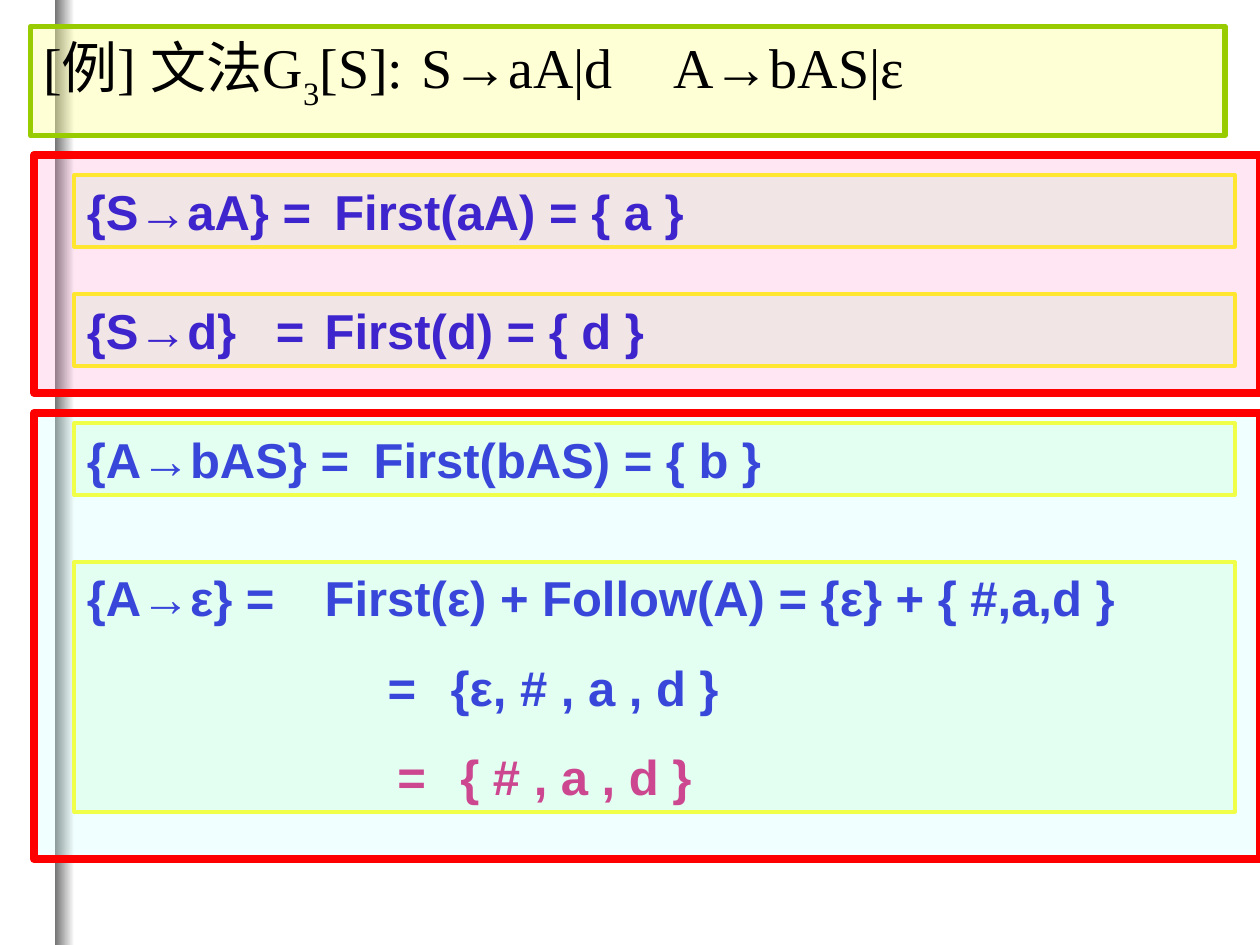
"""Build the slide that works out the selection sets of grammar G3."""
from pptx import Presentation
from pptx.dml.color import RGBColor
from pptx.enum.shapes import MSO_SHAPE as Shape
from pptx.enum.text import MSO_ANCHOR as Anchor, MSO_AUTO_SIZE as AutoSize, PP_ALIGN as Align
from pptx.oxml.ns import qn
from pptx.util import Pt
from lxml.etree import SubElement


def paint(shape, fill, opacity, line, weight):
    shape.fill.solid()
    shape.fill.fore_color.rgb = RGBColor.from_string(fill)
    color = shape._element.spPr.find(qn("a:solidFill"))[0]
    SubElement(color, qn("a:alpha")).set("val", str(opacity * 1000))
    shape.line.color.rgb = RGBColor.from_string(line)
    shape.line.width = Pt(weight)
    shape.shadow.inherit = False


def write(para, text, tabs, font, size, color, bold):
    para.alignment = Align.LEFT
    props = para._p.get_or_add_pPr()
    props.set("marL", "0")
    props.set("indent", "0")
    SubElement(props, qn("a:buNone"))
    if tabs:
        stops = SubElement(props, qn("a:tabLst"))
        for position in tabs:
            stop = SubElement(stops, qn("a:tab"))
            stop.set("pos", str(int(Pt(position))))
            stop.set("algn", "l")
    para.font.name = font
    para.font.size = Pt(size)
    para.font.bold = bold
    para.font.color.rgb = RGBColor.from_string(color)
    for index, part in enumerate(text.split("_")):
        span = para.add_run()
        span.text = part
        if index == 1:
            span._r.get_or_add_rPr().set("baseline", "-30000")


deck = Presentation()
deck.slide_width, deck.slide_height = Pt(720), Pt(540)
page = deck.slides.add_slide(deck.slide_layouts[1])
title = page.shapes.title
title._element.getparent().remove(title._element)

bar = page.shapes.add_shape(Shape.RECTANGLE, Pt(31.5), Pt(0), Pt(11), Pt(540))
bar.shadow.inherit = False
bar.line.fill.background()
bar.fill.gradient()
bar.fill.gradient_angle = 0
for stop, color, position in zip(bar.fill.gradient_stops, ("747474", "FFFFFF"), (0, 1)):
    stop.color.rgb = RGBColor.from_string(color)
    stop.position = position
page.shapes._spTree.insert(2, bar._element)

grammar = page.placeholders[1]
grammar.left, grammar.top, grammar.width, grammar.height = Pt(17.5), Pt(15), Pt(682.5), Pt(62.5)
paint(grammar, "FFFF99", 40, "99CC00", 3)
frame = grammar.text_frame
frame.auto_size = AutoSize.NONE
frame.vertical_anchor = Anchor.TOP
frame.paragraphs[0].space_before = Pt(0)
write(frame.paragraphs[0], "[例] 文法G_3_[S]:\tS→aA|d\tA→bAS|ε", (276, 496),
      "Times New Roman", 32, "000000", False)

rows = [
    (100, 41, "{S→aA} =", ()),
    (168, 41, "{S→d}\t=", (99.5,)),
    (242, 41, "{A→bAS} =", ()),
    (321, 143, "{A→ε} =", ()),
]
for top, height, text, tabs in rows:
    rule = page.shapes.add_shape(Shape.RECTANGLE, Pt(42.5), Pt(top), Pt(663), Pt(height))
    paint(rule, "CCFFCC", 35, "FFFF00", 2.25)
    rule.text_frame.word_wrap = True
    rule.text_frame.vertical_anchor = Anchor.TOP
    write(rule.text_frame.paragraphs[0], text, tabs, "Arial", 28, "0000CC", True)

results = [
    (184, 100, 521, 41, ["First(aA) = { a }"], (), "0000CC"),
    (178.5, 168, 521, 41, ["First(d) = { d }"], (), "0000CC"),
    (206.5, 242, 496, 41, ["First(bAS) = { b }"], (), "0000CC"),
    (178.5, 321, 521, 92, ["First(ε) + Follow(A) = {ε} + { #,a,d }", "\t=\t{ε, # , a , d }"],
     (270, 302), "0000CC"),
    (184, 423, 521, 41, ["\t=\t{ # , a , d }"], (263, 295), "CC0066"),
]
for left, top, width, height, lines, tabs, color in results:
    box = page.shapes.add_textbox(Pt(left), Pt(top), Pt(width), Pt(height))
    box.text_frame.word_wrap = True
    for index, line in enumerate(lines):
        para = box.text_frame.add_paragraph() if index else box.text_frame.paragraphs[0]
        if index:
            para.space_before = Pt(17.5)
        write(para, line, tabs if line.startswith("\t") else (), "Arial", 28, color, True)

for top, height, fill, opacity in [(88.5, 136, "FF99CC", 24), (236, 255, "CCFFFF", 28)]:
    group = page.shapes.add_shape(Shape.RECTANGLE, Pt(19.5), Pt(top), Pt(700.5), Pt(height))
    paint(group, fill, opacity, "FF0000", 4.5)

deck.save("out.pptx")
